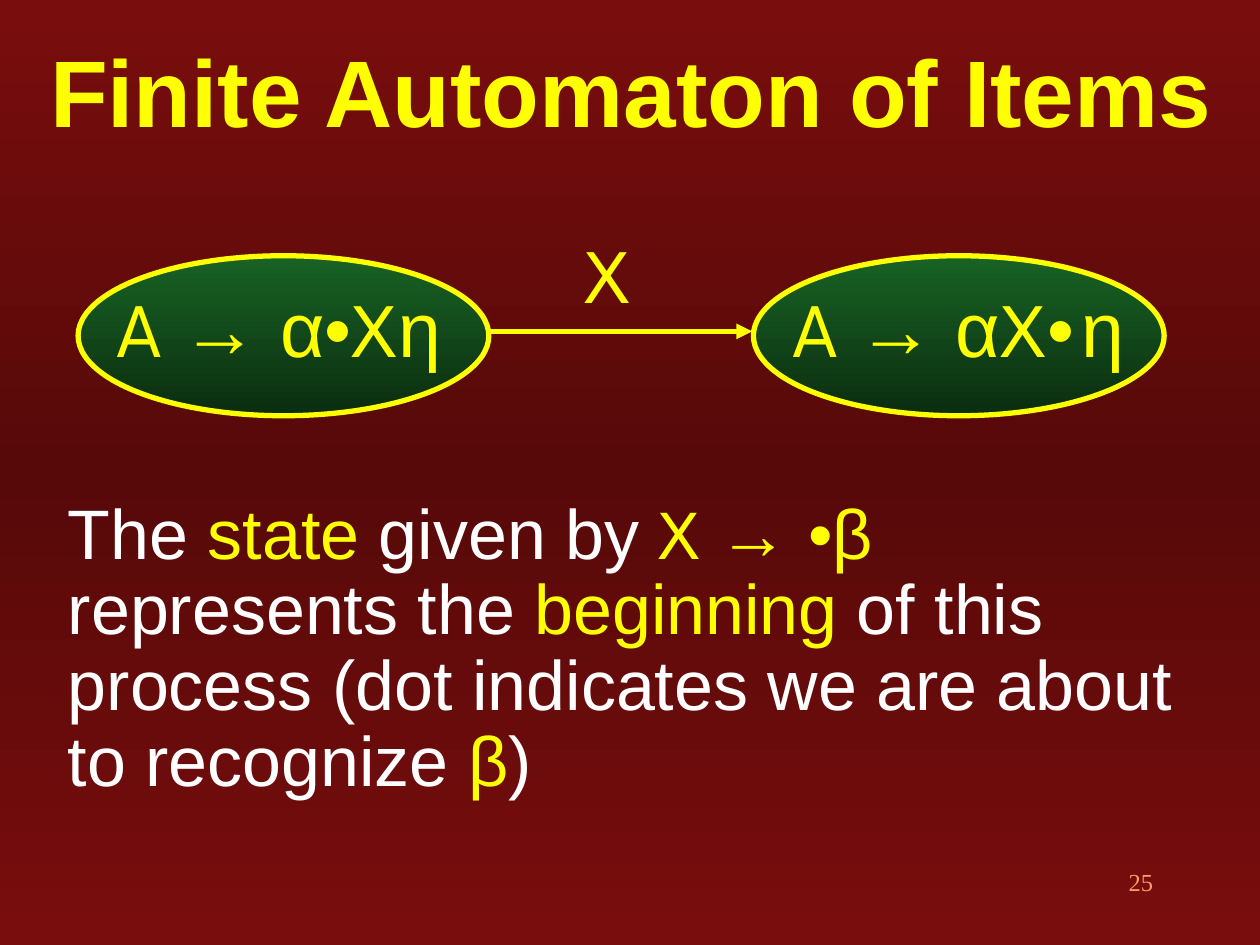
from copy import deepcopy

from lxml.etree import SubElement
from pptx import Presentation
from pptx.dml.color import RGBColor
from pptx.enum.shapes import MSO_CONNECTOR as Connector, MSO_SHAPE as Shape
from pptx.enum.text import MSO_ANCHOR as Anchor, PP_ALIGN as Align
from pptx.oxml import parse_xml
from pptx.oxml.ns import nsdecls, qn
from pptx.util import Inches, Pt

YELLOW = RGBColor(0xFF, 0xFF, 0x00)
WHITE = RGBColor(0xFF, 0xFF, 0xFF)
BLACK = RGBColor(0x00, 0x00, 0x00)
ORANGE = RGBColor(0xFF, 0x99, 0x66)
RED = RGBColor(0x79, 0x0D, 0x0D)
DARK_RED = RGBColor(0x57, 0x09, 0x09)
GREEN = RGBColor(0x18, 0x62, 0x24)
DARK_GREEN = RGBColor(0x0B, 0x2D, 0x10)

SANS = "Arial"
SYMBOL = "League Spartan"
SERIF = "Times New Roman"


class SlideBuilder:
    line_width = Pt(3)
    label_size = 44

    def __init__(self, slide):
        self.slide = slide

    def gradient(self, fill, colors):
        fill.gradient()
        fill.gradient_angle = 270
        for stop, color in zip(fill.gradient_stops, colors):
            stop.color.rgb = color

    def background(self, edge, middle):
        fill = self.slide.background.fill
        self.gradient(fill, (edge, middle))
        fill.gradient_stops[1].position = 0.5
        stops = self.slide._element.find(".//" + qn("a:gsLst"))
        last = deepcopy(stops[0])
        last.set("pos", "100000")
        stops.append(last)

    def text(self, box, runs, size, wrap=True, align=Align.LEFT,
             anchor=Anchor.TOP, spacing=None, bold=False, shapes=None):
        shapes = shapes or self.slide.shapes
        shape = shapes.add_textbox(*map(Inches, box))
        frame = shape.text_frame
        frame.word_wrap = wrap
        frame.vertical_anchor = anchor
        paragraph = frame.paragraphs[0]
        paragraph.alignment = align
        paragraph.line_spacing = spacing
        for words, name, color, *own_size in runs:
            run = paragraph.add_run()
            run.text = words
            run.font.name = name
            run.font.size = Pt(own_size[0] if own_size else size)
            run.font.bold = bold
            run.font.color.rgb = color
        return shape

    def title(self, box, words):
        shape = self.text(box, [(words, SANS, YELLOW)], 54,
                          anchor=Anchor.MIDDLE, bold=True)
        fill = shape._element.find(".//" + qn("a:rPr")).find(qn("a:solidFill"))
        fill.addnext(parse_xml(
            f'<a:effectLst {nsdecls("a")}>'
            '<a:outerShdw dist="17961" dir="2700000">'
            '<a:srgbClr val="DDDDDD"/></a:outerShdw></a:effectLst>'))

    def state(self, left, label_width, runs):
        shapes = self.slide.shapes.add_group_shape().shapes
        ellipse = shapes.add_shape(Shape.OVAL, Inches(left), Inches(2.03),
                                   Inches(3.26), Inches(1.27))
        ellipse.shadow.inherit = False
        self.gradient(ellipse.fill, (GREEN, DARK_GREEN))
        ellipse.line.color.rgb = YELLOW
        ellipse.line.width = self.line_width
        self.text((left + 0.21, 2.18, label_width, 0.84), runs,
                  self.label_size, wrap=False, shapes=shapes)

    def arrow(self, start, end, y):
        connector = self.slide.shapes.add_connector(
            Connector.STRAIGHT, Inches(start), Inches(y), Inches(end), Inches(y))
        connector.line.color.rgb = YELLOW
        connector.line.width = self.line_width
        SubElement(connector.line._get_or_add_ln(), qn("a:tailEnd"), type="triangle")
        SubElement(connector._element.spPr, qn("a:effectLst"))


def main():
    presentation = Presentation()
    presentation.slide_width = Inches(10)
    presentation.slide_height = Inches(7.5)
    builder = SlideBuilder(presentation.slides.add_slide(presentation.slide_layouts[6]))

    builder.background(RED, DARK_RED)
    builder.title((0.3, 0.3, 10, 0.83), "Finite Automaton of Items")
    builder.text((0.44, 3.91, 9.02, 2.54), [
        ("The ", SANS, WHITE),
        ("state", SANS, YELLOW),
        (" given by ", SANS, WHITE),
        ("X ", SYMBOL, YELLOW),
        ("→ •β", SANS, YELLOW),
        (" represents the ", SANS, WHITE),
        ("beginning", SANS, YELLOW),
        (" of this process (dot indicates we are about to recognize ", SANS, WHITE),
        ("β", SANS, YELLOW),
        (")", SANS, WHITE),
    ], 40, spacing=0.9)

    builder.state(0.62, 2.88, [
        ("A ", SYMBOL, YELLOW),
        ("→ α•", SANS, YELLOW),
        ("X", SYMBOL, YELLOW),
        ("η", SANS, YELLOW),
    ])
    builder.state(5.98, 2.94, [
        ("A ", SYMBOL, YELLOW),
        ("→ α", SANS, YELLOW),
        ("X", SYMBOL, YELLOW),
        ("•", SANS, YELLOW),
        (" ", SERIF, BLACK, 16),
        ("η", SANS, YELLOW),
    ])
    builder.arrow(3.86, 5.97, 2.63)
    builder.text((4.54, 1.75, 0.56, 0.84), [("X", SYMBOL, YELLOW)],
                 builder.label_size, wrap=False)
    builder.text((7.17, 6.83, 2.08, 0.5), [("25", SERIF, ORANGE)], 14,
                 align=Align.RIGHT)

    presentation.save("out.pptx")


if __name__ == "__main__":
    main()
